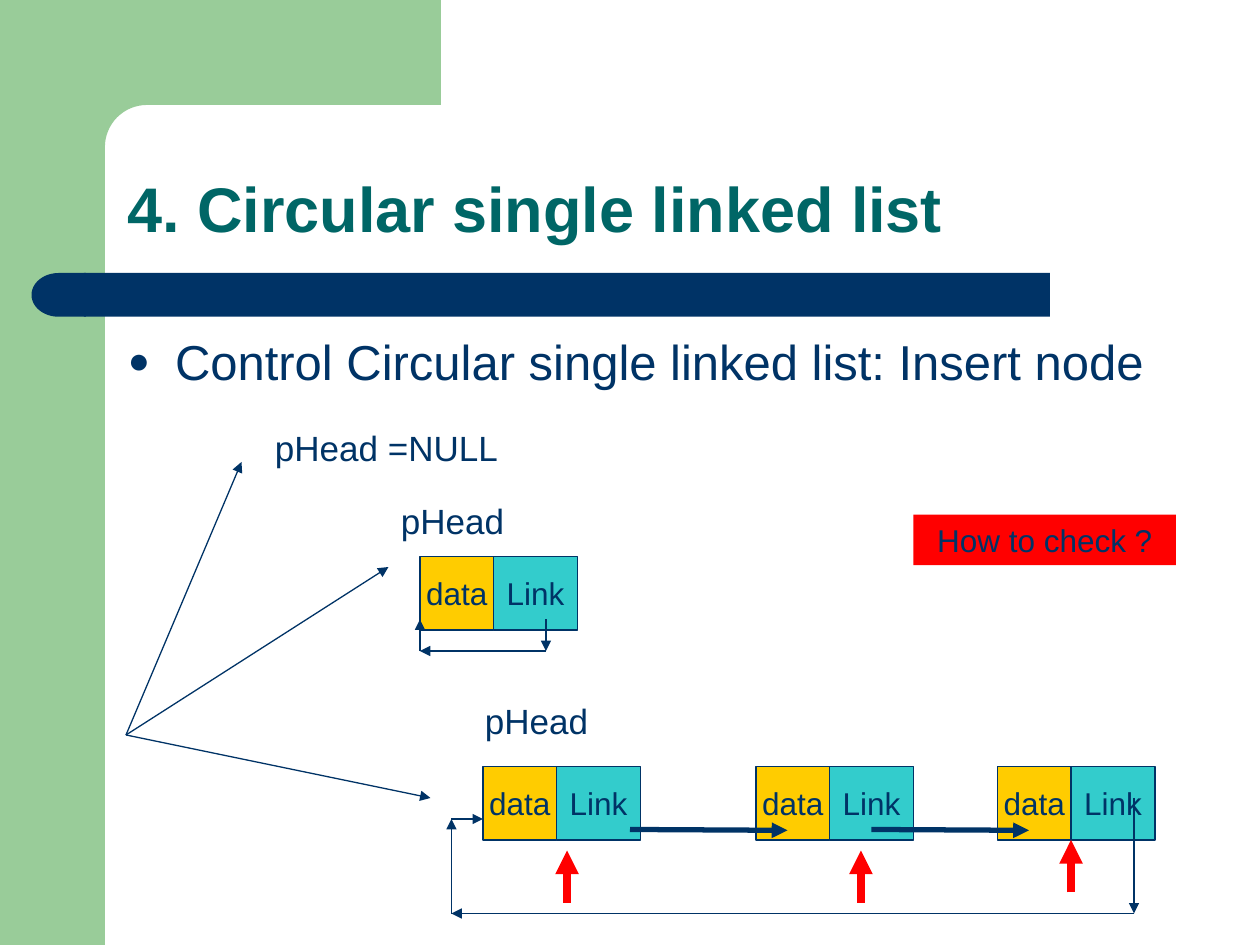
from math import cos, pi, sin
from typing import NamedTuple

from lxml.etree import SubElement
from pptx import Presentation
from pptx.dml.color import RGBColor
from pptx.enum.shapes import MSO_CONNECTOR as Connector, MSO_SHAPE as Shape
from pptx.enum.text import MSO_ANCHOR as Anchor, PP_ALIGN as Align
from pptx.oxml.ns import qn
from pptx.util import Pt

NAVY, TEAL, GREEN = "003366", "006666", "99CC99"
YELLOW, CYAN, RED = "FFCC00", "33CCCC", "FF0000"
DATA_WIDTH, LINK_WIDTH, NODE_HEIGHT = 42, 48, 42


class Node(NamedTuple):
    left: float
    top: float


class Label(NamedTuple):
    text: str
    left: float
    top: float
    width: float


class Arrow(NamedTuple):
    start: tuple[float, float]
    end: tuple[float, float]
    color: str = NAVY
    weight: float = 0.75


def rgb(color: str) -> RGBColor:
    return RGBColor.from_string(color)


def paint(shape, color: str, outline: str | None = None) -> None:
    shape.shadow.inherit = False
    shape.fill.solid()
    shape.fill.fore_color.rgb = rgb(color)
    if outline:
        shape.line.color.rgb = rgb(outline)
        shape.line.width = Pt(0.75)
    else:
        shape.line.fill.background()


def add_block(page, kind, left: float, top: float, width: float, height: float,
              color: str, outline: str | None = None):
    block = page.shapes.add_shape(kind, Pt(left), Pt(top), Pt(width), Pt(height))
    paint(block, color, outline)
    return block


def write(para, text: str, size: float, color: str = NAVY, bold: bool = False) -> None:
    span = para.add_run()
    span.text = text
    span.font.name = "Arial"
    span.font.size = Pt(size)
    span.font.bold = bold
    span.font.color.rgb = rgb(color)


def add_label(page, label: Label, height: float = 31.5, size: float = 20):
    box = page.shapes.add_textbox(Pt(label.left), Pt(label.top), Pt(label.width), Pt(height))
    box.text_frame.word_wrap = True
    para = box.text_frame.paragraphs[0]
    write(para, label.text, size)
    return para


def write_centred(block, text: str, wrap: bool) -> None:
    frame = block.text_frame
    frame.word_wrap = wrap
    frame.vertical_anchor = Anchor.MIDDLE
    frame.paragraphs[0].alignment = Align.CENTER
    write(frame.paragraphs[0], text, 18)


def add_node(page, node: Node) -> None:
    parts = (("data", node.left, DATA_WIDTH, YELLOW),
             ("Link", node.left + DATA_WIDTH, LINK_WIDTH, CYAN))
    for text, left, width, color in parts:
        block = add_block(page, Shape.RECTANGLE, left, node.top, width, NODE_HEIGHT, color, NAVY)
        write_centred(block, text, wrap=False)


def add_arrow(page, arrow: Arrow) -> None:
    ends = [Pt(value) for value in (*arrow.start, *arrow.end)]
    line = page.shapes.add_connector(Connector.STRAIGHT, *ends)
    line.line.color.rgb = rgb(arrow.color)
    line.line.width = Pt(arrow.weight)
    SubElement(line.line._get_or_add_ln(), qn("a:tailEnd"), type="triangle")
    SubElement(line._element.spPr, qn("a:effectLst"))


def add_bullet(para) -> None:
    props = para._p.get_or_add_pPr()
    props.set("marL", str(Pt(27)))
    props.set("indent", str(-Pt(27)))
    SubElement(SubElement(props, qn("a:buClr")), qn("a:srgbClr"), val=NAVY)
    SubElement(props, qn("a:buSzPct"), val="75000")
    SubElement(props, qn("a:buFont"), typeface="Arial")
    SubElement(props, qn("a:buChar"), char="●")


def add_background(page) -> None:
    add_block(page, Shape.RECTANGLE, 0, 0, 60, 540, GREEN)
    # Corner panel with a rounded inner notch
    radius, centre, steps = 24, 84, 16
    angles = [pi / 2 * step / steps for step in range(steps + 1)]
    curve = [(centre - radius * sin(a), centre - radius * cos(a)) for a in angles]
    outline = [(252, 0), (252, 60), *curve, (60, 92), (36, 92), (36, 0)]
    points = [(Pt(x), Pt(y)) for x, y in outline]
    builder = page.shapes.build_freeform(*points[0])
    builder.add_line_segments(points[1:], close=True)
    paint(builder.convert_to_shape(), GREEN)
    # Bar under the title, with its round end turned left
    add_block(page, Shape.RECTANGLE, 48, 156, 552, 25, NAVY)
    add_block(page, Shape.FLOWCHART_DELAY, 18, 156, 31, 25, NAVY).rotation = 180


def add_title(page, text: str) -> None:
    title = page.shapes.title
    title.left, title.top, title.width, title.height = Pt(65.5), Pt(65.5), Pt(613), Pt(78.5)
    title.text_frame.vertical_anchor = Anchor.BOTTOM
    para = title.text_frame.paragraphs[0]
    para.alignment = Align.LEFT
    para.line_spacing = 0.9
    write(para, text, 36, TEAL, bold=True)


NODES = [Node(240, 318), Node(276, 438), Node(432, 438), Node(570, 438)]
LABELS = [Label("pHead =NULL", 150, 240, 168), Label("pHead", 222, 282, 96),
          Label("pHead", 270, 396, 96)]


def path_arrows(*points: tuple[float, float]) -> list[Arrow]:
    return [Arrow(start, end) for start, end in zip(points, points[1:])]


ARROWS = [
    # The three cases
    *(Arrow((72, 420), end) for end in ((138, 264), (222, 324), (246, 456))),
    # Links to the next node
    *(Arrow((x, 474), (x + 90, 474.5), NAVY, 3) for x in (360, 498)),
    # Insert positions
    *(Arrow((x, y + 30), (x, y), RED, 4.5) for x, y in ((612, 480), (492, 486), (324, 486))),
    # Loops back to the head
    *path_arrows((312, 354), (312, 372), (240, 372), (240, 354)),
    *path_arrows((648, 456), (648, 522), (258, 522), (258, 468), (276, 468)),
]


def main() -> None:
    deck = Presentation()
    deck.slide_width, deck.slide_height = Pt(720), Pt(540)
    page = deck.slides.add_slide(deck.slide_layouts[5])

    add_background(page)
    add_title(page, "4. Circular single linked list")
    topic = Label("Control Circular single linked list: Insert node", 66, 186, 606)
    add_bullet(add_label(page, topic, height=48, size=28))

    for node in NODES:
        add_node(page, node)
    for label in LABELS:
        add_label(page, label)
    question = add_block(page, Shape.RECTANGLE, 522, 294, 150, 29, RED)
    write_centred(question, "How to check ?", wrap=True)
    for arrow in ARROWS:
        add_arrow(page, arrow)

    deck.save("out.pptx")


if __name__ == "__main__":
    main()
